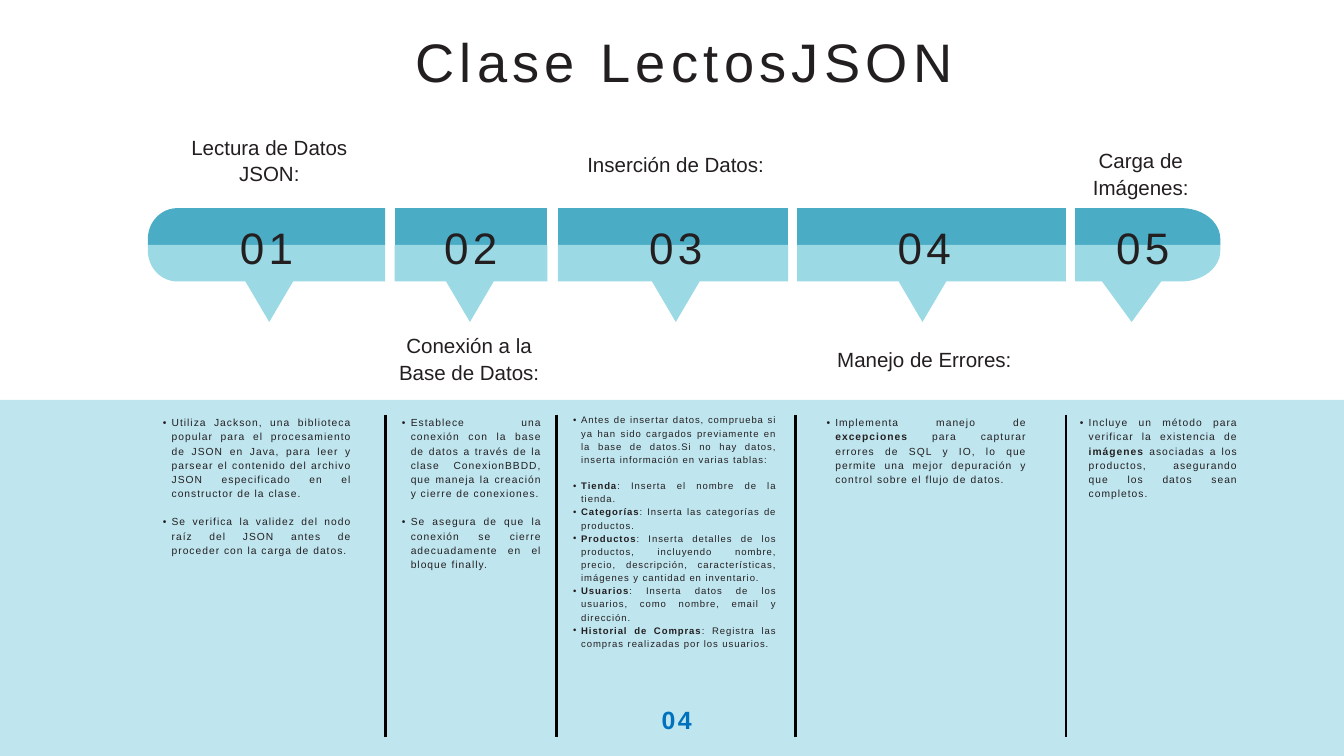
"""Build the five-step timeline slide about a JSON reader class."""
from dataclasses import dataclass
from math import cos, pi, sin

from lxml.etree import SubElement
from pptx import Presentation
from pptx.dml.color import RGBColor
from pptx.enum.shapes import MSO_CONNECTOR, MSO_SHAPE
from pptx.enum.text import MSO_ANCHOR, MSO_AUTO_SIZE, PP_ALIGN
from pptx.oxml.ns import qn
from pptx.util import Pt


@dataclass
class Theme:
    font = "Arial"
    ink = RGBColor.from_string("231F20")
    accent = RGBColor.from_string("0071BC")
    rule = RGBColor.from_string("000000")
    band = RGBColor.from_string("BFE5EF")
    bar_top = RGBColor.from_string("4BACC6")
    bar_bottom = RGBColor.from_string("9BD9E4")
    title = {"size": 58.1, "leading": 80.2, "tracking": 5.7}
    number = {"size": 47.2, "leading": 65.2, "tracking": 4.6}
    heading = {"size": 22, "leading": 28.6, "tracking": 0}
    page = {"size": 26.7, "leading": 36.8, "tracking": 2.6}
    list = {"size": 11, "leading": 15.2, "tracking": 1.07, "indent": 9.4}
    dense_list = {"size": 10.2, "leading": 14.1, "tracking": 1, "indent": 8.7}


theme = Theme()


def write(box, place, lines, style, color=theme.ink):
    for name, value in zip(("left", "top", "width", "height"), place):
        setattr(box, name, Pt(value))
    frame = box.text_frame
    frame_format = {
        "word_wrap": True, "auto_size": MSO_AUTO_SIZE.NONE, "vertical_anchor": MSO_ANCHOR.TOP,
        "margin_left": 0, "margin_top": 0, "margin_right": 0, "margin_bottom": 0,
    }
    for name, value in frame_format.items():
        setattr(frame, name, value)
    indent = style.get("indent")
    for index, line in enumerate(lines):
        para = frame.paragraphs[0] if index == 0 else frame.add_paragraph()
        para_format = {
            "alignment": PP_ALIGN.JUSTIFY if indent else PP_ALIGN.CENTER,
            "line_spacing": Pt(style["leading"]),
            "space_before": Pt(style["leading"] if index == 1 else 0),
            "space_after": Pt(0),
        }
        for name, value in para_format.items():
            setattr(para, name, value)
        if indent:
            properties = para._p.get_or_add_pPr()
            properties.set("marL", str(Pt(2 * indent)))
            properties.set("indent", str(-Pt(indent)))
            SubElement(properties, qn("a:buFont")).set("typeface", theme.font)
            SubElement(properties, qn("a:buChar")).set("char", "•")
        for part, text in enumerate(line.split("*")):
            if not text:
                continue
            span = para.add_run()
            span.text = text
            span_format = {
                "name": theme.font, "size": Pt(style["size"]),
                "bold": part % 2 == 1,
            }
            for name, value in span_format.items():
                setattr(span.font, name, value)
            span.font.color.rgb = color
            span._r.get_or_add_rPr().set("spc", str(round(style["tracking"] * 100)))


def paint(shape, color):
    shape.shadow.inherit = False
    shape.fill.solid()
    shape.fill.fore_color.rgb = color
    shape.line.fill.background()


deck = Presentation()
deck.slide_width, deck.slide_height = Pt(1440), Pt(810)
page = deck.slides.add_slide(deck.slide_layouts.get_by_name("Comparison"))
shapes = page.shapes

band = shapes.add_shape(MSO_SHAPE.RECTANGLE, Pt(-56), Pt(428.6), Pt(1529), Pt(386.6))
paint(band, theme.band)
shapes._spTree.insert(2, band._element)

write(shapes.title, (340.6, 19.4, 784.8, 77.8), ["Clase LectosJSON"], theme.title)

bar_top, bar_middle, bar_bottom, pointer_tip, corner_height = 223, 262.3, 301.6, 345, 33
steps = [
    {"bar": (158.4, 412.6), "tip": 288.5, "half": 25.5, "corner": -31.7, "number": 285.5,
     "heading": "Lectura de Datos JSON:", "heading_place": (200, 142.1, 177.1, 56.2),
     "list_place": (165.1, 444.2, 211.7, 178.6),
     "list": ["Utiliza Jackson, una biblioteca popular para el procesamiento de JSON en Java, para leer y "
              "parsear el contenido del archivo JSON especificado en el constructor de la clase.",
              "Se verifica la validez del nodo raíz del JSON antes de proceder con la carga de datos."]},
    {"bar": (422.8, 586.6), "tip": 503.5, "half": 25.5, "corner": 0, "number": 504.4,
     "heading": "Conexión a la Base de Datos:", "heading_place": (420.5, 355, 164.2, 56.2),
     "list_place": (421.3, 444.2, 159.1, 210.2),
     "list": ["Establece una conexión con la base de datos a través de la clase ConexionBBDD, que maneja "
              "la creación y cierre de conexiones.",
              "Se asegura de que la conexión se cierre adecuadamente en el bloque finally."]},
    {"bar": (597.8, 844.4), "tip": 724.1, "half": 25.5, "corner": 0, "number": 724,
     "heading": "Inserción de Datos:", "heading_place": (624.2, 160.6, 199.4, 28.1),
     "list_place": (605.3, 442.1, 226.8, 303.8), "list_style": theme.dense_list,
     "list": ["Antes de insertar datos, comprueba si ya han sido cargados previamente en la base de "
              "datos.Si no hay datos, inserta información en varias tablas:",
              "*Tienda*: Inserta el nombre de la tienda.",
              "*Categorías*: Inserta las categorías de productos.",
              "*Productos*: Inserta detalles de los productos, incluyendo nombre, precio, descripción, "
              "características, imágenes y cantidad en inventario.",
              "*Usuarios*: Inserta datos de los usuarios, como nombre, email y dirección.",
              "*Historial de Compras*: Registra las compras realizadas por los usuarios."]},
    {"bar": (854, 1142), "tip": 988.4, "half": 25.5, "corner": 0, "number": 990.4,
     "heading": "Manejo de Errores:", "heading_place": (892.1, 369.4, 196.6, 28.1),
     "list_place": (876.2, 444.2, 223.9, 88.6),
     "list": ["Implementa manejo de *excepciones* para capturar errores de SQL y IO, lo que permite una "
              "mejor depuración y control sobre el flujo de datos."]},
    {"bar": (1152, 1307.5), "tip": 1212.5, "half": 31.7, "corner": 41.8, "number": 1224.4,
     "heading": "Carga de Imágenes:", "heading_place": (1152, 156.2, 140.4, 56.2),
     "list_place": (1147.7, 444.2, 178.6, 120.2),
     "list": ["Incluye un método para verificar la existencia de *imágenes* asociadas a los productos, "
              "asegurando que los datos sean completos."]},
]

bodies = [holder for holder in page.placeholders if holder.placeholder_format.idx in (1, 2, 3, 4)]
bodies.append(shapes.add_textbox(0, 0, 0, 0))

for order, (step, body) in enumerate(zip(steps, bodies), 1):
    left, right = step["bar"]
    corner, tip, half = step["corner"], step["tip"], step["half"]
    round_end, square_end = (left, right) if corner < 0 else (right, left)
    arc = [(round_end, 0)]
    if corner:
        angles = [pi / 2 * part / 12 for part in range(13)]
        arc = [(round_end - corner * (1 - cos(angle)), corner_height * (1 - sin(angle)))
               for angle in angles]
    pointer = [(tip + half, bar_bottom), (tip, pointer_tip), (tip - half, bar_bottom)]
    if corner < 0:
        pointer.reverse()
    upper = [(square_end, bar_middle), (round_end, bar_middle),
             *((x, bar_top + inset) for x, inset in arc), (square_end, bar_top)]
    lower = [(square_end, bar_middle), (round_end, bar_middle),
             *((x, bar_bottom - inset) for x, inset in arc), *pointer, (square_end, bar_bottom)]
    for outline, color in ((upper, theme.bar_top), (lower, theme.bar_bottom)):
        corners = [(Pt(x), Pt(y)) for x, y in outline]
        builder = shapes.build_freeform(*corners[0])
        builder.add_line_segments(corners[1:], close=True)
        paint(builder.convert_to_shape(), color)

    number_place = (step["number"] - 47.2, 227.5, 94.3, 61.9)
    write(shapes.add_textbox(0, 0, 0, 0), number_place, [f"{order:02}"], theme.number)
    write(shapes.add_textbox(0, 0, 0, 0), step["heading_place"], [step["heading"]], theme.heading)
    write(body, step["list_place"], step["list"], step.get("list_style", theme.list))

for x in (412.8, 596.4, 852.7, 1142.2):
    divider = shapes.add_connector(MSO_CONNECTOR.STRAIGHT, Pt(x), Pt(444.2), Pt(x), Pt(789.8))
    divider.line.color.rgb = theme.rule
    divider.line.width = Pt(3)
    SubElement(divider._element.spPr, qn("a:effectLst"))

write(shapes.add_textbox(0, 0, 0, 0), (703.4, 750.2, 43.2, 36), ["*04*"], theme.page, theme.accent)

deck.save("out.pptx")
